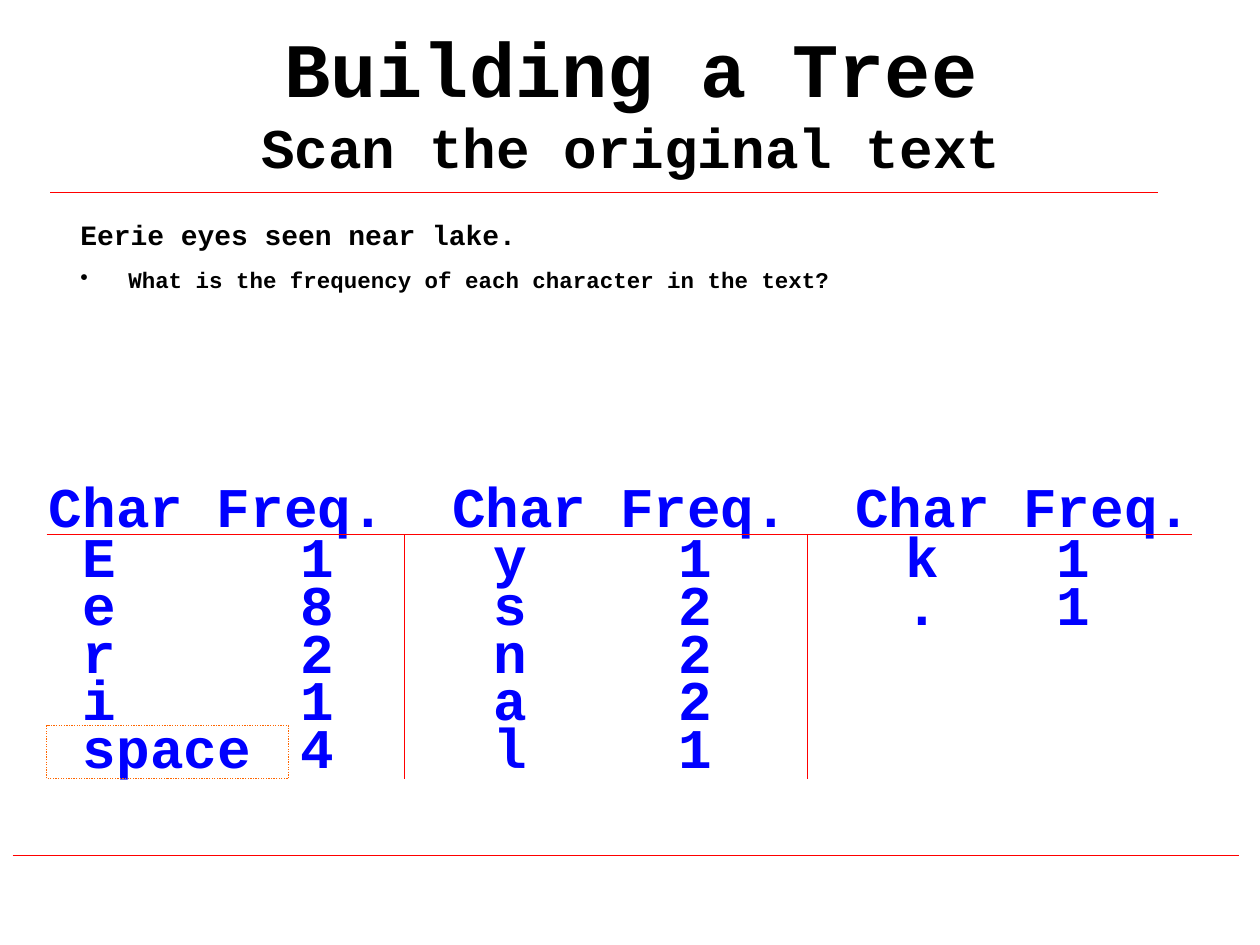
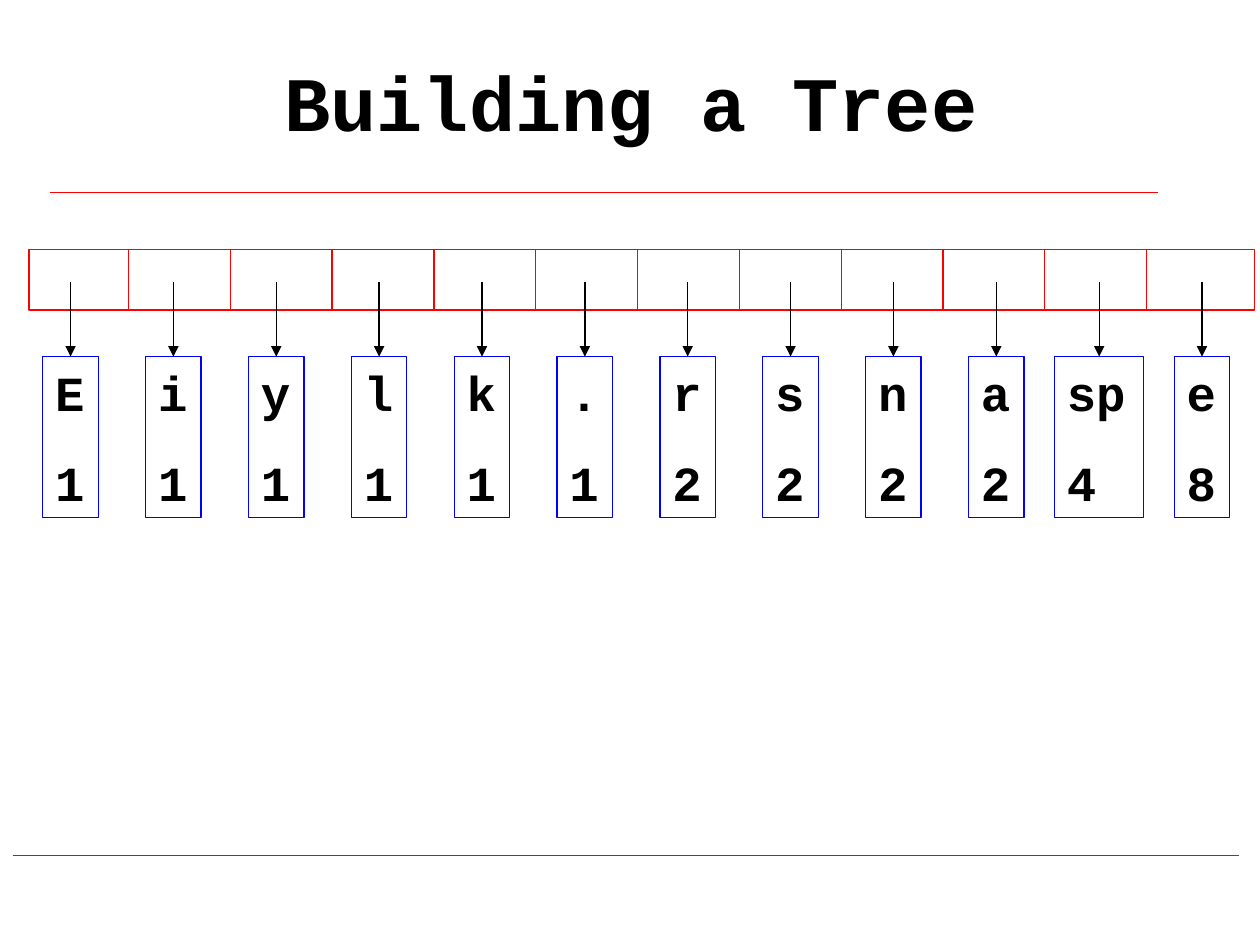
from lxml import etree
from pptx import Presentation
from pptx.dml.color import RGBColor
from pptx.enum.dml import MSO_LINE
from pptx.enum.shapes import MSO_CONNECTOR, MSO_SHAPE
from pptx.enum.text import MSO_ANCHOR, PP_ALIGN
from pptx.oxml.ns import qn
from pptx.util import Inches, Pt

BLACK = RGBColor(0x00, 0x00, 0x00)
WHITE = RGBColor(0xFF, 0xFF, 0xFF)
RED = RGBColor(0xFF, 0x00, 0x00)
BLUE = RGBColor(0x00, 0x00, 0xFF)
ORANGE = RGBColor(0xFF, 0x66, 0x00)
FONT = "Courier New"
LINE_WIDTH = Pt(0.75)

FREQUENCY_ROWS = [
    ["E", "1", "y", "1", "k", "1"],
    ["e", "8", "s", "2", ".", "1"],
    ["r", "2", "n", "2"],
    ["i", "1", "a", "2"],
    ["space", "4", "l", "1"],
]
QUEUE = [("E", 1), ("i", 1), ("y", 1), ("l", 1), ("k", 1), (".", 1),
         ("r", 2), ("s", 2), ("n", 2), ("a", 2), ("sp", 4), ("e", 8)]


def write(frame, text, size, color=BLACK, align=PP_ALIGN.LEFT, before=0,
          spacing=None, tabs=(), bullet=None, hanging=0):
    """Add one paragraph; the first call fills the empty one."""
    paragraph = frame.paragraphs[0]
    if paragraph.runs:
        paragraph = frame.add_paragraph()
    paragraph.alignment = align
    paragraph.space_before = Pt(before)
    if spacing:
        paragraph.line_spacing = spacing
    run = paragraph.add_run()
    run.text = text
    run.font.name, run.font.size, run.font.bold = FONT, Pt(size), True
    run.font.color.rgb = color
    properties = paragraph._p.get_or_add_pPr()
    if hanging:
        properties.set("marL", str(Inches(hanging)))
        properties.set("indent", str(-Inches(hanging)))
    if bullet:
        etree.SubElement(properties, qn("a:buChar")).set("char", bullet)
    if tabs:
        tab_list = etree.SubElement(properties, qn("a:tabLst"))
        for position in tabs:
            tab = etree.SubElement(tab_list, qn("a:tab"))
            tab.set("pos", str(Inches(position)))
            tab.set("algn", "l")


def set_frame(shape, top_inset=0.05, anchor=MSO_ANCHOR.TOP):
    frame = shape.text_frame
    frame.word_wrap = True
    frame.vertical_anchor = anchor
    frame.margin_left = frame.margin_right = Inches(0.1)
    frame.margin_top, frame.margin_bottom = Inches(top_inset), 0
    return frame


def add_text_box(slide, left, top, width, height, **options):
    box = slide.shapes.add_textbox(Inches(left), Inches(top), Inches(width), Inches(height))
    return set_frame(box, **options)


def add_box(slide, left, top, width, height, color, fill=None):
    box = slide.shapes.add_shape(MSO_SHAPE.RECTANGLE, Inches(left), Inches(top),
                                 Inches(width), Inches(height))
    box.shadow.inherit = False
    if fill is None:
        box.fill.background()
    else:
        box.fill.solid()
        box.fill.fore_color.rgb = fill
    box.line.color.rgb = color
    box.line.width = LINE_WIDTH
    return box


def add_line(slide, x1, y1, x2, y2, color=RED, arrow=False):
    line = slide.shapes.add_connector(MSO_CONNECTOR.STRAIGHT, Inches(x1), Inches(y1),
                                      Inches(x2), Inches(y2))
    line.line.color.rgb = color
    line.line.width = LINE_WIDTH
    if arrow:
        etree.SubElement(line.line._get_or_add_ln(), qn("a:tailEnd")).set("type", "triangle")
    etree.SubElement(line._element.spPr, qn("a:effectLst"))
    return line


def add_slide(presentation, title, subtitle=None):
    """Blank slide with the shared rules and title."""
    slide = presentation.slides.add_slide(presentation.slide_layouts[6])
    add_line(slide, 0.4, 1.53, 9.19, 1.53)
    add_line(slide, 0.1, 6.79, 9.83, 6.79)
    frame = add_text_box(slide, 0.76, 0.17, 8.5, 1.25, anchor=MSO_ANCHOR.MIDDLE)
    frame.margin_bottom = frame.margin_top
    write(frame, title, 44, align=PP_ALIGN.CENTER)
    if subtitle:
        write(frame, subtitle, 32, align=PP_ALIGN.CENTER)
    return slide


def add_question(slide, left, top, width, height):
    frame = add_text_box(slide, left, top, width, height, top_inset=0.04)
    write(frame, "Eerie eyes seen near lake.", 16, hanging=0.38)
    write(frame, "What is the frequency of each character in the text?", 12.8,
          before=8.5, bullet="•", hanging=0.38)


def add_frequencies(slide, left, top, width, height):
    # Tabbed columns of characters and counts
    frame = add_text_box(slide, left, top, width, height)
    write(frame, "\t".join(["Char Freq."] * 3), 32, color=BLUE, spacing=0.7, tabs=(3.2, 6.4))
    for row in FREQUENCY_ROWS:
        write(frame, "\t" + "\t".join(row), 32, color=BLUE, before=8, spacing=0.5,
              tabs=(0.27, 2, 3.53, 5, 6.8, 8))

    # Rules between the columns
    rule_left, rule_top, bottom = left + 0.08, top + 0.4, top + 2.34
    add_line(slide, rule_left, rule_top, rule_left + 9.09, rule_top)
    space_mark = add_box(slide, rule_left, bottom - 0.42, 1.92, 0.42, ORANGE)
    space_mark.line.dash_style = MSO_LINE.ROUND_DOT
    for offset in (2.92, 6.12):
        add_line(slide, left + offset, rule_top, left + offset, bottom)


def add_queue(slide, left, top, width, height):
    # Array of cells
    add_box(slide, left, top, width, height, RED, fill=WHITE)
    cell_pitch = 8.08 / 10
    for index in range(len(QUEUE) - 1):
        x = left + 0.79 + index * cell_pitch
        add_line(slide, x, top, x, top + height)

    # Nodes, each with an arrow from its cell
    node_pitch = 8.98 / 11
    for index, (character, count) in enumerate(QUEUE):
        center = left + 0.33 + index * node_pitch
        node_width = 0.44 if len(character) == 1 else 0.71
        node = add_box(slide, center - node_width / 2, top + 0.85, node_width, 1.28, BLUE)
        frame = set_frame(node)
        write(frame, character, 28)
        write(frame, str(count), 28, before=17.5)
        arrow = add_line(slide, center, top + 0.26, center, top + 0.85, BLACK, arrow=True)
        arrow.end_connect(node, 0)


def main():
    presentation = Presentation()
    presentation.slide_width, presentation.slide_height = Inches(10), Inches(7.5)

    scan_slide = add_slide(presentation, "Building a Tree", "Scan the original text")
    add_question(scan_slide, 0.54, 1.69, 9.19, 0.75)
    add_frequencies(scan_slide, 0.29, 3.84, 9.65, 2.37)

    queue_slide = add_slide(presentation, "Building a Tree")
    add_queue(queue_slide, 0.23, 1.98, 9.73, 0.48)

    presentation.save("out.pptx")


if __name__ == "__main__":
    main()
